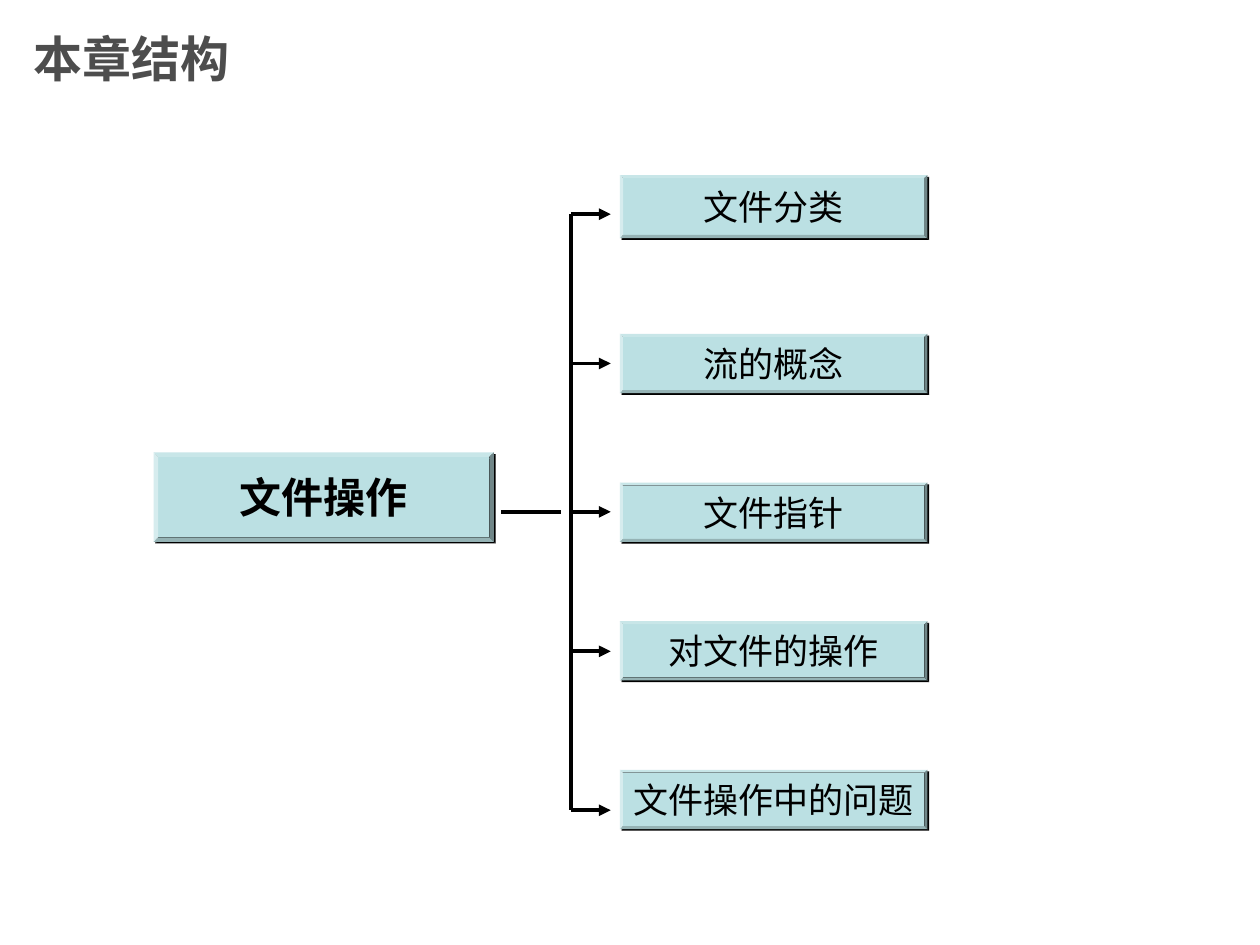
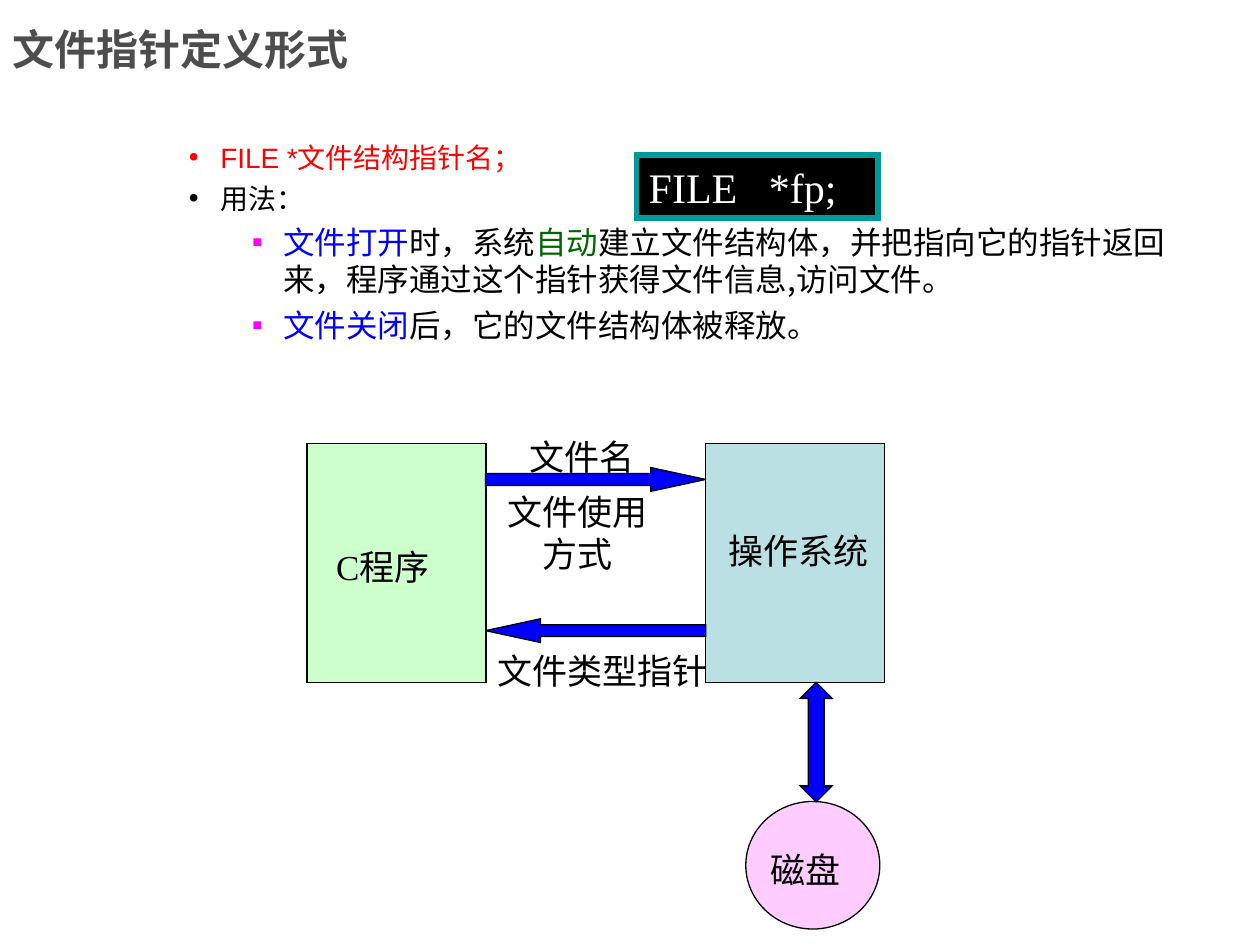
from lxml.etree import SubElement
from pptx import Presentation
from pptx.dml.color import RGBColor
from pptx.enum.shapes import MSO_CONNECTOR, MSO_SHAPE
from pptx.enum.text import MSO_ANCHOR, PP_ALIGN
from pptx.oxml.ns import qn
from pptx.util import Pt

COLOURS = {
    "title": "4D4D4D", "black": "000000", "white": "FFFFFF", "teal": "BBE0E3",
    "green": "CCFFCC", "pink": "FFCCFF", "blue": "0000FF", "red": "FF0000",
    "magenta": "FF00FF", "dark green": "006600", "frame": "009999",
}
COLOURS = {name: RGBColor.from_string(value) for name, value in COLOURS.items()}
CJK_FONT = "Noto Sans CJK SC"


def write(box, *paragraphs, size=20, font="Arial", colour="black", bold=False,
          align=PP_ALIGN.LEFT, anchor=MSO_ANCHOR.MIDDLE, wrap=False, spacing=None):
    frame = box.text_frame
    frame.word_wrap = wrap
    frame.vertical_anchor = anchor
    frame.margin_left = frame.margin_right = Pt(7.2)
    frame.margin_top = frame.margin_bottom = Pt(3.6)
    for index, spans in enumerate(paragraphs):
        paragraph = frame.add_paragraph() if index else frame.paragraphs[0]
        paragraph.alignment = align
        if spacing:
            paragraph.line_spacing = Pt(spacing)
        if isinstance(spans, str):
            spans = [(spans, colour, font)]
        for text, span_colour, span_font in spans:
            span = paragraph.add_run()
            span.text = text
            span.font.name = span_font
            span.font.size = Pt(size)
            span.font.bold = bold
            span.font.color.rgb = COLOURS[span_colour]
            SubElement(span.font._element, qn("a:ea"), typeface=CJK_FONT)
    return frame


def draw(page, kind, place, fill, line=None, width=0.75, adjustments=()):
    shape = page.shapes.add_shape(kind, *map(Pt, place))
    shape.shadow.inherit = False
    shape.fill.solid()
    shape.fill.fore_color.rgb = COLOURS[fill]
    if line:
        shape.line.color.rgb = COLOURS[line]
        shape.line.width = Pt(width)
        SubElement(shape.line._get_or_add_ln(), qn("a:miter"), lim="800000")
    else:
        shape.line.fill.background()
    for index, value in enumerate(adjustments):
        shape.adjustments[index] = value
    return shape


deck = Presentation()
deck.slide_width, deck.slide_height = Pt(720), Pt(540)

pages = []
for title, place, size in [
    ("本章结构", (12.24, 0, 540, 66.24), 28),
    ("文件指针定义形式", (0, 0, 473, 56.16), 24),
]:
    page = deck.slides.add_slide(deck.slide_layouts[6])
    box = page.shapes.add_textbox(*map(Pt, place))
    write(box, title, size=size, colour="title", bold=True, wrap=True)
    pages.append(page)
structure, pointer = pages

topics = [
    ("文件分类", 100.1, 36, 122.4),
    ("流的概念", 190.8, 33.84, 207.7),
    ("文件指针", 275.8, 33.84, 292.5),
    ("对文件的操作", 355, 33.84, 372.2),
    ("文件操作中的问题", 439.9, 33.84, 463),
]
boxes = [("文件操作", (87.84, 258.5, 194.4, 51.1), 24, True)]
boxes += [(name, (354.24, top, 175.7, height), 20, False) for name, top, height, _ in topics]
for name, place, size, bold in boxes:
    box = draw(structure, MSO_SHAPE.BEVEL, place, "teal", adjustments=[0.05])
    effects = box._element.spPr.find(qn("a:effectLst"))
    shadow = SubElement(effects, qn("a:outerShdw"), blurRad="0", dist=str(Pt(1.4)),
                        dir="2700000", algn="ctr", rotWithShape="0")
    SubElement(shadow, qn("a:srgbClr"), val=str(COLOURS["black"]))
    write(box, name, size=size, bold=bold, align=PP_ALIGN.CENTER,
          font=CJK_FONT if bold else "Arial")

trunk = 326.2
lines = [(trunk, topics[0][3], trunk, topics[-1][3], False),
         (286.5, 292.5, 320.4, 292.5, False)]
lines += [(trunk, level, 349, level, True) for *_, level in topics]
for *ends, arrow in lines:
    connector = structure.shapes.add_connector(MSO_CONNECTOR.STRAIGHT, *map(Pt, ends))
    connector.line.color.rgb = COLOURS["black"]
    connector.line.width = Pt(2.25)
    if arrow:
        SubElement(connector.line._get_or_add_ln(), qn("a:tailEnd"), type="triangle")
    SubElement(connector._element.spPr, qn("a:effectLst"))

box = pointer.shapes.add_textbox(Pt(28.8), Pt(76.8), Pt(655), Pt(164.1))
frame = write(
    box,
    [("FILE *", "red", "Arial"), ("文件结构指针名；", "red", CJK_FONT)],
    [("用法：", "black", "Arial")],
    [("文件打开", "blue", CJK_FONT), ("时，系统", "black", CJK_FONT),
     ("自动", "dark green", CJK_FONT),
     ("建立文件结构体，并把指向它的指针返回来，程序通过这个指针获得文件信息,访问文件。",
      "black", CJK_FONT)],
    [("文件关闭", "blue", CJK_FONT), ("后，它的文件结构体被释放。", "black", CJK_FONT)],
    anchor=MSO_ANCHOR.TOP, wrap=True)
bullets = [("•", "red", 16, 90, 0), ("•", "black", 16, 90, 4),
           ("▪", "magenta", 18, 126, 4.5), ("▪", "magenta", 18, 126, 4.5)]
for paragraph, (mark, colour, size, indent, before) in zip(frame.paragraphs, bullets):
    properties = paragraph._p.get_or_add_pPr()
    properties.set("marL", str(Pt(indent)))
    properties.set("indent", str(Pt(-18)))
    tint = SubElement(properties, qn("a:buClr"))
    SubElement(tint, qn("a:srgbClr"), val=str(COLOURS[colour]))
    SubElement(properties, qn("a:buFont"), typeface="Arial")
    SubElement(properties, qn("a:buChar"), char=mark)
    paragraph.space_before = Pt(before)
    paragraph.line_spacing = Pt(size * 1.2)
    for span in paragraph.runs:
        span.font.size = Pt(size)

for kind, place, fill, adjustments in [
    (MSO_SHAPE.RECTANGLE, (175.5, 253.5, 102.2, 136.5), "green", ()),
    (MSO_SHAPE.RECTANGLE, (403.3, 253.5, 102.2, 136.5), "teal", ()),
    (MSO_SHAPE.OVAL, (426.2, 458, 76.6, 72.9), "pink", ()),
    (MSO_SHAPE.RIGHT_ARROW, (277.5, 267.2, 125.8, 13.6), "blue", (0.5, 2.31)),
    (MSO_SHAPE.LEFT_ARROW, (277.5, 353.6, 125.8, 13.6), "blue", (0.5, 2.31)),
    (MSO_SHAPE.UP_DOWN_ARROW, (457.3, 390, 18.2, 68.2), "blue", (0.75, 0.5)),
]:
    draw(pointer, kind, place, fill, "black", adjustments=adjustments)

for label, left, top, width in [
    ("文件名", 295.2, 244.8, 90),
    ("文件类型指针", 277.2, 367.2, 145),
    ("C程序", 185, 307.7, 85),
    ("操作系统", 409.2, 298.8, 105),
    ("磁盘", 433.4, 481, 65),
]:
    box = pointer.shapes.add_textbox(Pt(left), Pt(top), Pt(width), Pt(31.7))
    write(box, label, font="Times New Roman", wrap=True)

box = pointer.shapes.add_textbox(Pt(275.2), Pt(276.5), Pt(110), Pt(55.4))
write(box, "文件使用", "方式", font="Times New Roman", align=PP_ALIGN.CENTER,
      wrap=True, spacing=24)

code = draw(pointer, MSO_SHAPE.RECTANGLE, (363.6, 88.6, 138.2, 36), "black", "frame", 3)
write(code, "FILE   *fp;", size=24, font="Times New Roman", colour="white", wrap=True)

deck.save("out.pptx")
